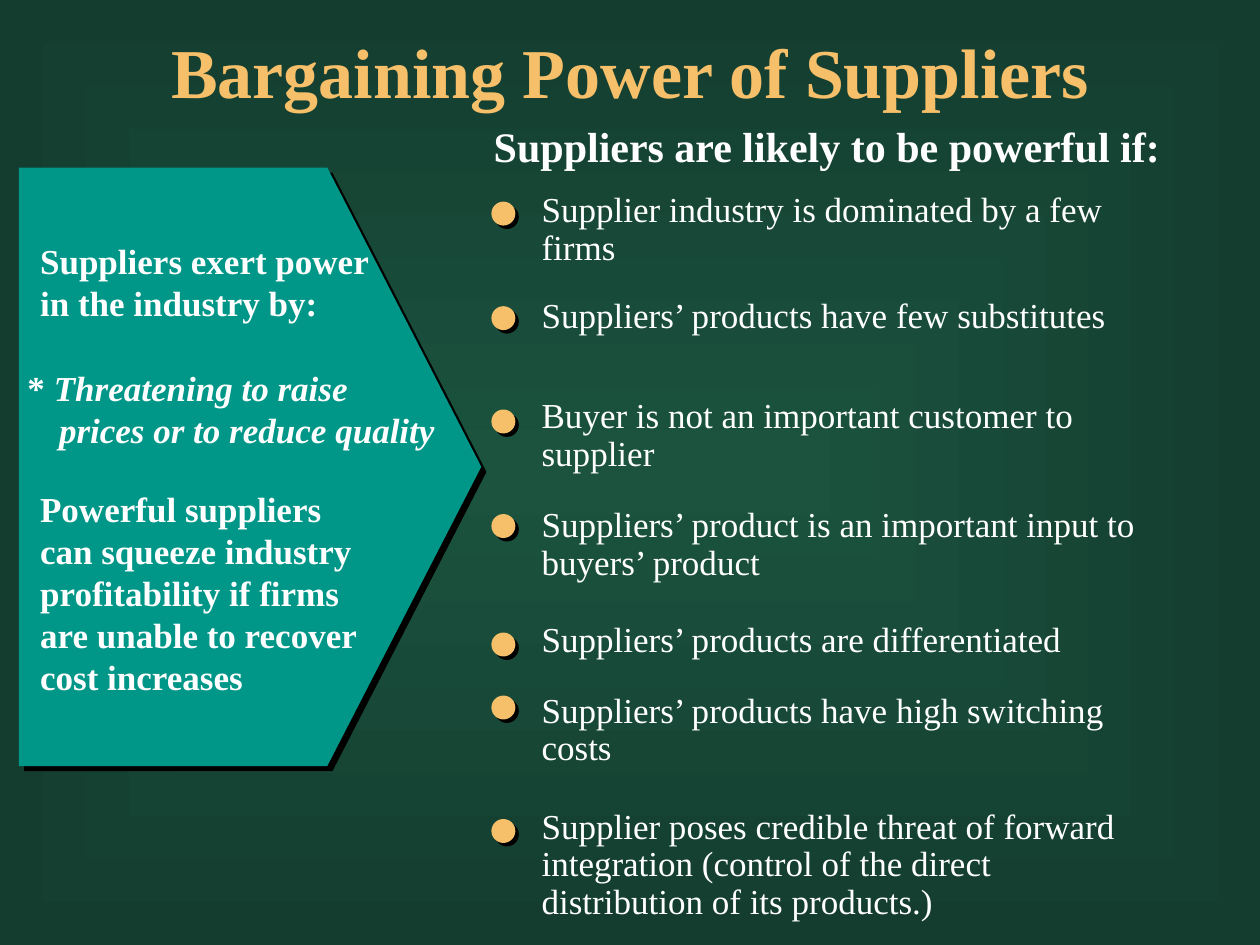
"""Build the slide on the bargaining power of suppliers."""
from typing import NamedTuple

from lxml.etree import Element
from pptx import Presentation
from pptx.dml.color import RGBColor
from pptx.enum.shapes import MSO_SHAPE
from pptx.enum.text import MSO_AUTO_SIZE, PP_ALIGN
from pptx.oxml import parse_xml
from pptx.oxml.ns import nsdecls, qn
from pptx.util import Inches, Pt

FONT = "Times New Roman"
GOLD, WHITE, TEAL, BLACK = "F6BF69", "FFFFFF", "009688", "000000"
DOT_X, DOT_SIZE, REASON_X = 3.9, 0.19, 4.2


class Label(NamedTuple):
    x: float
    y: float
    w: float
    h: float
    runs: tuple
    size: int = 20
    color: str = WHITE
    bold: bool = True
    spacing: float = 1.0
    align: PP_ALIGN = PP_ALIGN.LEFT
    shadow: bool = True
    wrap: bool = True


class Run(NamedTuple):
    text: str
    italic: bool = False


class Reason(NamedTuple):
    text: str
    y: float
    w: float
    h: float
    dot_y: float


TITLE = Label(0, 0.18, 10, 0.76, (Run("Bargaining Power of Suppliers"),),
              size=40, color=GOLD, align=PP_ALIGN.CENTER)
HEADING = Label(3.82, 0.94, 5.49, 0.48, (Run("Suppliers are likely to be powerful if:"),),
                size=24, spacing=0.95, shadow=False, wrap=False)
ARROW_LABELS = [
    Label(0.22, 1.85, 2.94, 0.76, (Run("Suppliers exert power in the industry by:"),)),
    Label(0.12, 2.86, 3.6, 0.43, (Run("* "), Run("Threatening to raise", True))),
    Label(0.37, 3.19, 3.35, 0.43, (Run("prices or to reduce quality", True),)),
    Label(0.22, 3.82, 2.76, 1.76, (Run("Powerful suppliers can squeeze industry profitability "
                                       "if firms are unable to recover cost increases"),)),
]
REASONS = [
    Reason("Supplier industry is dominated by a few firms", 1.48, 5.26, 0.7, 1.6),
    Reason("Suppliers’ products have few substitutes", 2.32, 5.79, 0.4, 2.43),
    Reason("Buyer is not an important customer to supplier", 3.11, 5.32, 0.7, 3.25),
    Reason("Suppliers’ product is an important input to buyers’ product", 3.98, 5.26, 0.7, 4.08),
    Reason("Suppliers’ products are differentiated", 4.89, 5.79, 0.4, 5.02),
    Reason("Suppliers’ products have high switching costs", 5.45, 5.11, 0.7, 5.52),
    Reason("Supplier poses credible threat of forward integration (control of the direct "
           "distribution of its products.)", 6.37, 5.1, 1.31, 6.5),
]


def rgb(value: str) -> RGBColor:
    return RGBColor.from_string(value)


def shadow_effect(distance: float) -> Element:
    return parse_xml(
        f'<a:effectLst {nsdecls("a")}><a:outerShdw dist="{Pt(distance)}" dir="2700000" '
        f'algn="ctr" rotWithShape="0"><a:srgbClr val="{BLACK}"/></a:outerShdw></a:effectLst>')


def add_label(shapes, label: Label) -> None:
    sp = shapes.add_textbox(*map(Inches, label[:4]))
    tf = sp.text_frame
    tf.word_wrap = label.wrap
    tf.auto_size = MSO_AUTO_SIZE.SHAPE_TO_FIT_TEXT
    p = tf.paragraphs[0]
    p.alignment, p.line_spacing = label.align, label.spacing
    for run in label.runs:
        r = p.add_run()
        r.text = run.text
        style = {"name": FONT, "size": Pt(label.size), "bold": label.bold, "italic": run.italic}
        for name, value in style.items():
            setattr(r.font, name, value)
        r.font.color.rgb = rgb(label.color)
        if label.shadow:
            r.font.fill
            r._r.rPr.find(qn("a:solidFill")).addnext(shadow_effect(2))


def add_solid(shapes, kind: MSO_SHAPE, box: tuple, color: str, distance: float):
    sp = shapes.add_shape(kind, *map(Inches, box))
    sp.fill.solid()
    sp.fill.fore_color.rgb = rgb(color)
    sp.line.fill.background()
    sp.element.spPr.append(shadow_effect(distance))
    return sp


def set_background(s) -> None:
    fill = s.background.fill
    fill.gradient()
    for stop, color in zip(fill.gradient_stops, ("1B533F", "143D2F")):
        stop.color.rgb = rgb(color)
    lin = s.element.find(f".//{qn('a:lin')}")
    lin.getparent().replace(lin, parse_xml(
        f'<a:path {nsdecls("a")} path="shape">'
        '<a:fillToRect l="50000" t="50000" r="50000" b="50000"/></a:path>'))


def main() -> None:
    prs = Presentation()
    prs.slide_width, prs.slide_height = Inches(10), Inches(7.5)
    s = prs.slides.add_slide(prs.slide_layouts[6])
    set_background(s)
    add_label(s.shapes, TITLE)

    arrow = s.shapes.add_group_shape().shapes
    pentagon = add_solid(arrow, MSO_SHAPE.PENTAGON, (0.15, 1.33, 3.67, 4.75), TEAL, 4.2)
    pentagon.adjustments[0] = 0.333
    for label in ARROW_LABELS:
        add_label(arrow, label)

    add_label(s.shapes, HEADING)
    reasons = s.shapes.add_group_shape().shapes
    for reason in REASONS:
        add_label(reasons, Label(REASON_X, reason.y, reason.w, reason.h, (Run(reason.text),),
                                 bold=False, spacing=0.9, shadow=False))
    for reason in REASONS:
        add_solid(reasons, MSO_SHAPE.OVAL, (DOT_X, reason.dot_y, DOT_SIZE, DOT_SIZE), GOLD, 2.8)
    prs.save("out.pptx")


if __name__ == "__main__":
    main()
